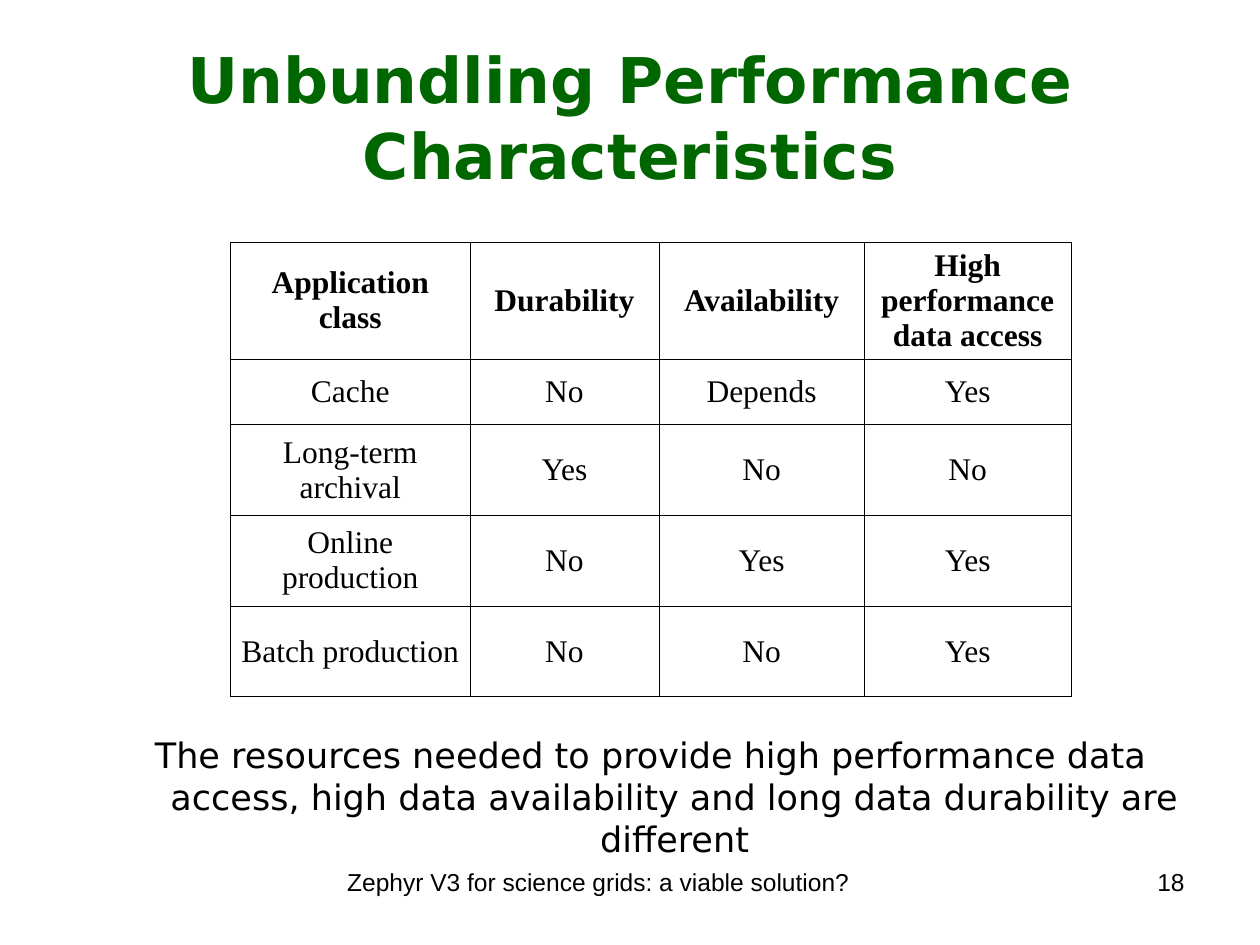
"""Build the slide on unbundling performance characteristics."""
from pptx import Presentation
from pptx.dml.color import RGBColor
from pptx.enum.text import MSO_ANCHOR, PP_ALIGN
from pptx.oxml import parse_xml
from pptx.oxml.ns import nsdecls
from pptx.util import Inches, Pt

THEME = {
    "black": "000000", "green": "006600",
    "title": ("DejaVu Sans", 36), "body": ("DejaVu Sans", 20),
    "table": ("Times New Roman", 18), "footer": ("Arial", 14),
    "border": 0.45,
}


def style(p, role, align, color="black", bold=False):
    p.alignment = align
    for r in p.runs:
        r.font.name, size = THEME[role]
        r.font.size = Pt(size)
        r.font.bold = bold
        r.font.color.rgb = RGBColor.from_string(THEME[color])


prs = Presentation()
prs.slide_width, prs.slide_height = Inches(10), Inches(7.5)
W, H = prs.slide_width, prs.slide_height
s = prs.slides.add_slide(prs.slide_layouts[6])

rows = [
    ("Application class", "Durability", "Availability", "High performance data access"),
    ("Cache", "No", "Depends", "Yes"),
    ("Long-term archival", "Yes", "No", "No"),
    ("Online production", "No", "Yes", "Yes"),
    ("Batch production", "No", "No", "Yes"),
]
col_widths = [1.9, 1.5, 1.63, 1.64]
row_heights = [0.93, 0.52, 0.72, 0.72, 0.72]

frame = s.shapes.add_table(len(rows), len(col_widths), Inches(1.83), Inches(1.92),
                           Inches(sum(col_widths)), Inches(sum(row_heights)))
table = frame.table
table.horz_banding = False
for col, width in zip(table.columns, col_widths):
    col.width = Inches(width)
for row, height in zip(table.rows, row_heights):
    row.height = Inches(height)

for i, texts in enumerate(rows):
    for j, text in enumerate(texts):
        cell = table.cell(i, j)
        cell.text_frame.text = text
        cell.vertical_anchor = MSO_ANCHOR.MIDDLE
        cell.margin_left = cell.margin_right = Inches(0.08)
        cell.margin_top = cell.margin_bottom = Inches(0.05)
        style(cell.text_frame.paragraphs[0], "table", PP_ALIGN.CENTER, bold=i == 0)
        tcPr = cell._tc.get_or_add_tcPr()
        for side in ("lnL", "lnR", "lnT", "lnB"):
            tcPr.append(parse_xml(
                f'<a:{side} {nsdecls("a")} w="{Pt(THEME["border"])}"><a:solidFill>'
                f'<a:srgbClr val="{THEME["black"]}"/></a:solidFill></a:{side}>'))
        cell.fill.background()

C, R = PP_ALIGN.CENTER, PP_ALIGN.RIGHT
TOP, MIDDLE = MSO_ANCHOR.TOP, MSO_ANCHOR.MIDDLE
boxes = [
    ("Unbundling Performance Characteristics", "title", "green", True, C, MIDDLE,
     (0.05, 0.04, 0.9, 1 / 6), (0.1, 0.05), 0),
    ("The resources needed to provide high performance data access, "
     "high data availability and long data durability are different",
     "body", "black", False, C, TOP, (0.075, 23 / 30, 0.883, 0.123), (0, 0.07), 0.38),
    ("Zephyr V3 for science grids: a viable solution?", "footer", "black", False, C, TOP,
     (0.25, 0.911, 0.45, 0.07), (0.1, 0.05), 0),
    ("18", "footer", "black", False, R, TOP,
     (0.717, 0.911, 0.233, 0.07), (0.1, 0.05), 0),
]
for text, role, color, bold, align, anchor, (x, y, w, h), (mx, my), hang in boxes:
    sp = s.shapes.add_textbox(int(x * W), int(y * H), int(w * W), int(h * H))
    tf = sp.text_frame
    tf.word_wrap = True
    tf.vertical_anchor = anchor
    tf.margin_left = tf.margin_right = Inches(mx)
    tf.margin_top = tf.margin_bottom = Inches(my)
    tf.text = text
    p = tf.paragraphs[0]
    if hang:
        pPr = p._p.get_or_add_pPr()
        pPr.set("marL", str(Inches(hang)))
        pPr.set("indent", str(-Inches(hang)))
    style(p, role, align, color, bold)

prs.save("out.pptx")
